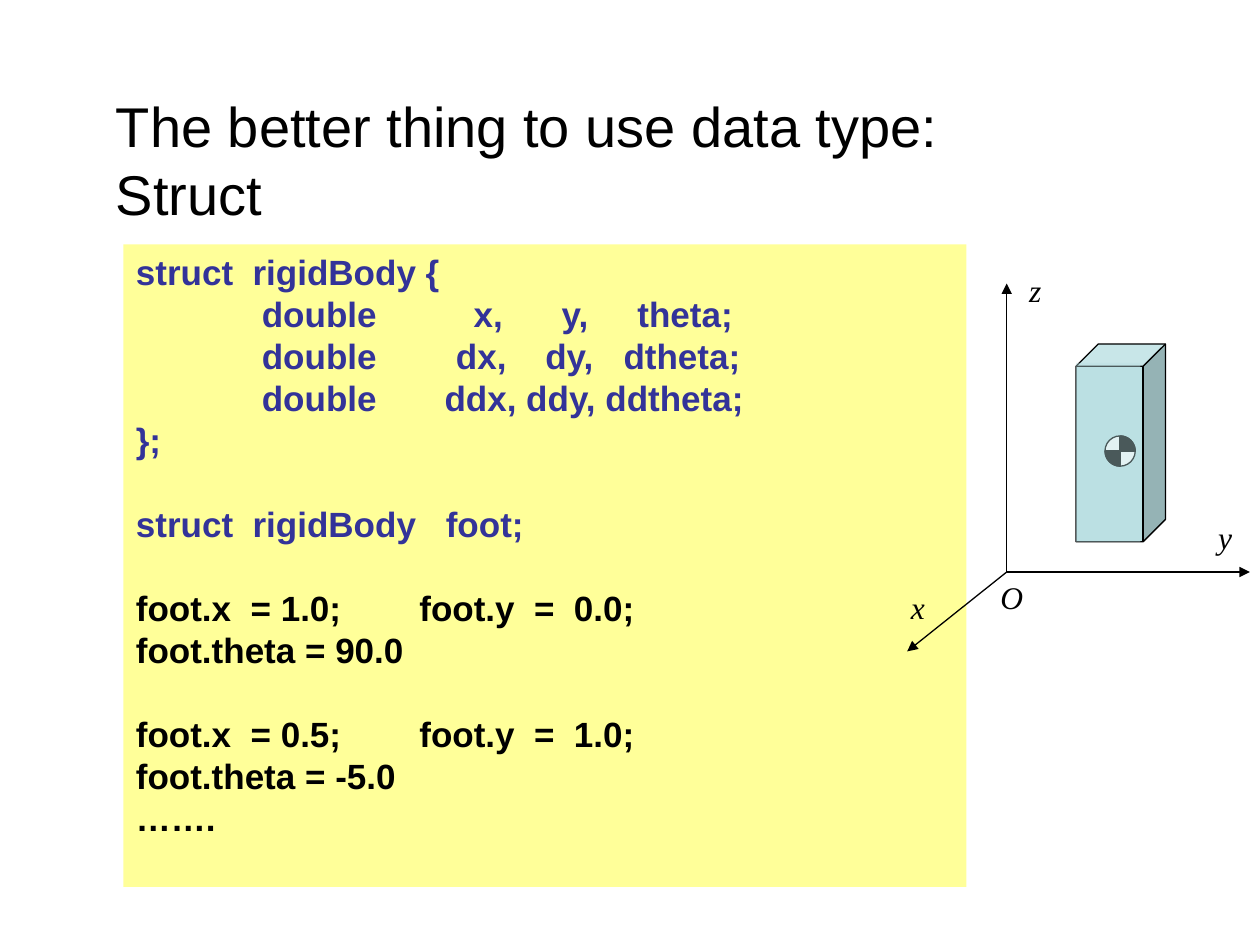
from math import cos, pi, sin

from lxml.etree import SubElement
from pptx import Presentation
from pptx.dml.color import RGBColor
from pptx.enum.shapes import MSO_CONNECTOR, MSO_SHAPE
from pptx.enum.text import MSO_ANCHOR, PP_ALIGN
from pptx.oxml.ns import qn
from pptx.util import Pt

PX = 9144  # EMU; 100 px to the inch
BLACK, WHITE, NAVY = "000000", "FFFFFF", "333399"
YELLOW, TEAL = "FFFF99", "BBE0E3"
CODE_SIZE, CODE_LINE = 20, 24

# Each line: text, tab stops in px from the text's left edge
STRUCT_LINES = [
    ("struct  rigidBody {", []),
    ("\tdouble\tx,\ty,\ttheta;", [100, 268, 338, 398]),
    ("\tdouble\tdx,\tdy,\tdtheta;", [100, 254, 325, 387]),
    ("\tdouble\tddx, ddy, ddtheta;", [100, 245]),
    ("};", []),
]
DECLARATION_LINES = [("struct  rigidBody\tfoot;", [246])]
FIRST_LINES = [
    ("foot.x  = 1.0;\tfoot.y  =  0.0;", [225]),
    ("foot.theta = 90.0", []),
]
SECOND_LINES = [
    ("foot.x  = 0.5;\tfoot.y  =  1.0;", [225]),
    ("foot.theta = -5.0", []),
    ("…….", []),
]
CODE_BLOCKS = [
    (STRUCT_LINES, NAVY),
    (DECLARATION_LINES, NAVY),
    (FIRST_LINES, BLACK),
    (SECOND_LINES, BLACK),
]


def rgb(color):
    return RGBColor.from_string(color)


def emu(*lengths):
    return [round(length * PX) for length in lengths]


def write(paragraph, text, size=18, font="Arial", color=BLACK, bold=False, italic=False):
    paragraph.alignment = PP_ALIGN.LEFT
    run = paragraph.add_run()
    run.text = text
    run.font.size = Pt(size)
    run.font.name = font
    run.font.bold = bold
    run.font.italic = italic
    run.font.color.rgb = rgb(color)


def set_frame(shape, wrap):
    """Anchor the text at the top with the usual insets."""
    frame = shape.text_frame
    frame.word_wrap = wrap
    frame.vertical_anchor = MSO_ANCHOR.TOP
    frame.margin_left = frame.margin_right = 10 * PX
    frame.margin_top = frame.margin_bottom = 5 * PX
    return frame


def set_tabs(paragraph, stops):
    if stops:
        tab_list = SubElement(paragraph._p.get_or_add_pPr(), qn("a:tabLst"))
        for stop in stops:
            SubElement(tab_list, qn("a:tab"), pos=str(stop * PX), algn="l")


def paint(shape, fill, line=None, alpha=None):
    shape.shadow.inherit = False
    shape.fill.solid()
    shape.fill.fore_color.rgb = rgb(fill)
    if alpha is not None:
        color = shape._element.spPr.find(qn("a:solidFill"))[0]
        SubElement(color, qn("a:alpha"), val=str(alpha * 1000))
    if line:
        shape.line.color.rgb = rgb(line)
        shape.line.width = Pt(0.75)
    else:
        shape.line.fill.background()


def add_box(shapes, kind, box, fill, **style):
    shape = shapes.add_shape(kind, *emu(*box))
    paint(shape, fill, **style)
    return shape


def add_axis(shapes, start, end):
    connector = shapes.add_connector(MSO_CONNECTOR.STRAIGHT, *emu(*start, *end))
    connector.line.color.rgb = rgb(BLACK)
    connector.line.width = Pt(0.75)
    SubElement(connector.line._get_or_add_ln(), qn("a:tailEnd"), type="triangle")
    SubElement(connector._element.spPr, qn("a:effectLst"))


def add_quadrant(shapes, center, radius, start_angle):
    """Draw a filled quarter disc, counter-clockwise from start_angle."""
    x, y = center
    steps = 8
    angles = [start_angle + pi / 2 * step / steps for step in range(steps + 1)]
    arc = [emu(x + radius * cos(angle), y - radius * sin(angle)) for angle in angles]
    builder = shapes.build_freeform(*emu(x, y))
    builder.add_line_segments(arc, close=True)
    paint(builder.convert_to_shape(), BLACK, line=BLACK)


def fill_title(slide, box, text):
    title = slide.shapes.title
    title.left, title.top, title.width, title.height = emu(*box)
    write(set_frame(title, wrap=False).paragraphs[0], text, size=32)


def add_code(slide, box):
    panel = add_box(slide.shapes, MSO_SHAPE.RECTANGLE, box, YELLOW)
    frame = set_frame(panel, wrap=True)
    paragraph = frame.paragraphs[0]
    for block, (lines, color) in enumerate(CODE_BLOCKS):
        for row, (text, stops) in enumerate(lines):
            if block or row:
                paragraph = frame.add_paragraph()
            paragraph.line_spacing = Pt(CODE_LINE)
            if block and row == 0:
                paragraph.space_before = Pt(CODE_LINE)
            set_tabs(paragraph, stops)
            write(paragraph, text, size=CODE_SIZE, color=color, bold=True)


def add_rigid_body(shapes, left, top):
    """Draw the block, its centre-of-mass mark and a translucent front face."""
    cube = add_box(shapes, MSO_SHAPE.CUBE, (left, top, 71, 157), TEAL, line=BLACK)
    cube.adjustments[0] = 0.25
    radius = 12
    center = (left + 35, top + 85)
    mark_box = (center[0] - radius, center[1] - radius, 2 * radius, 2 * radius)
    add_box(shapes, MSO_SHAPE.FLOWCHART_OR, mark_box, WHITE, line=BLACK)
    for start_angle in (0, pi):
        add_quadrant(shapes, center, radius, start_angle)
    add_box(shapes, MSO_SHAPE.RECTANGLE, (left, top + 15, 51, 142), TEAL, alpha=40)


def add_diagram(slide, left, top):
    shapes = slide.shapes.add_group_shape().shapes
    origin = (left + 86, top + 244)
    for x, y in [(86, 15), (279, 244), (7, 307)]:
        add_axis(shapes, origin, (left + x, top + y))
    add_rigid_body(shapes, left + 141, top + 63)
    labels = [("x", 0, 252, 31), ("y", 244, 196, 31), ("z", 94, 0, 29), ("O", 71, 244, 38)]
    for text, x, y, width in labels:
        label = shapes.add_textbox(*emu(left + x, top + y, width, 40))
        paragraph = set_frame(label, wrap=False).paragraphs[0]
        write(paragraph, text, font="Times New Roman", italic=True)


def main():
    presentation = Presentation()
    presentation.slide_width, presentation.slide_height = emu(1000, 750)
    slide = presentation.slides.add_slide(presentation.slide_layouts[5])
    fill_title(slide, (82, 68, 801, 64), "The better thing to use data type: Struct")
    add_code(slide, (98, 194, 669, 510))
    add_diagram(slide, 713, 210)
    presentation.save("out.pptx")


if __name__ == "__main__":
    main()
